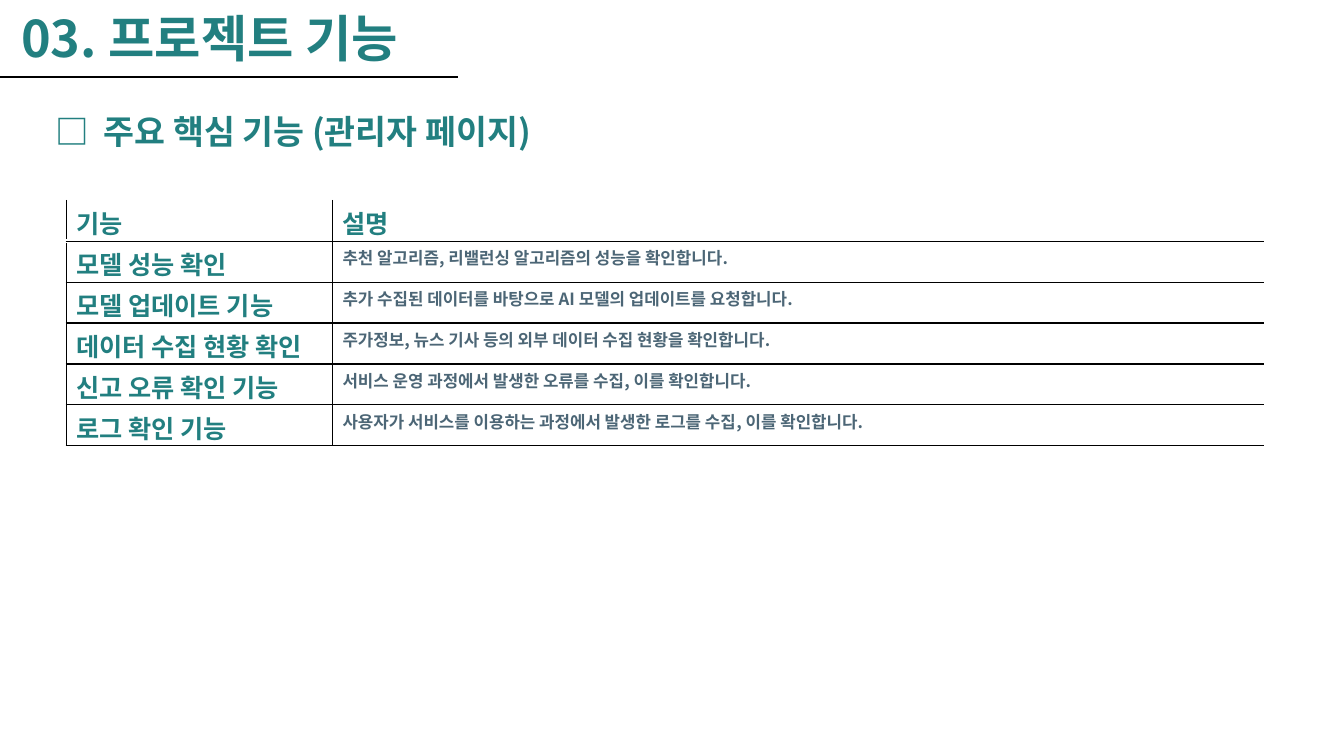
from dataclasses import dataclass

import pptx
import pptx.dml.color
import pptx.enum.text
import pptx.oxml
import pptx.oxml.ns
import pptx.util
from pptx.util import Cm

FONT = "Noto Sans CJK KR"
TEAL, SLATE, BLACK, WHITE = "227F80", "4C6676", "000000", "FFFFFF"
NS = pptx.oxml.ns.nsdecls("a")


@dataclass
class Feature:
    name: str
    description: str


@dataclass
class Borders:
    """Colours of the cell sides, and the width of the bottom one in points."""
    left: str
    top: str
    right: str
    bottom: str
    bottom_width: float = 1


HEADER = Feature("기능", "설명 ")
FEATURES = [
    Feature("모델 성능 확인", "추천 알고리즘, 리밸런싱 알고리즘의 성능을 확인합니다."),
    Feature("모델 업데이트 기능", "추가 수집된 데이터를 바탕으로 AI 모델의 업데이트를 요청합니다."),
    Feature("데이터 수집 현황 확인", "주가정보, 뉴스 기사 등의 외부 데이터 수집 현황을 확인합니다."),
    Feature("신고 오류 확인 기능", "서비스 운영 과정에서 발생한 오류를 수집, 이를 확인합니다."),
    Feature("로그 확인 기능", "사용자가 서비스를 이용하는 과정에서 발생한 로그를 수집, 이를 확인합니다."),
]


def rgb(value: str) -> pptx.dml.color.RGBColor:
    return pptx.dml.color.RGBColor.from_string(value)


def write(tf, text: str, size: float, color: str) -> None:
    p = tf.paragraphs[0]
    p.alignment = pptx.enum.text.PP_ALIGN.LEFT
    r = p.add_run()
    r.text = text
    r.font.size = pptx.util.Pt(size)
    r.font.bold = True
    r.font.color.rgb = rgb(color)
    r.font.name = FONT
    # Korean glyphs take the East Asian typeface
    latin = r.font._element.find(pptx.oxml.ns.qn("a:latin"))
    latin.addnext(pptx.oxml.parse_xml(f'<a:ea {NS} typeface="{FONT}"/>'))


def set_borders(cell, borders: Borders) -> None:
    sides = [("lnL", borders.left, 1), ("lnR", borders.right, 1),
             ("lnT", borders.top, 1), ("lnB", borders.bottom, borders.bottom_width)]
    tc_pr = cell._tc.get_or_add_tcPr()
    for i, (tag, color, width) in enumerate(sides):
        tc_pr.insert(i, pptx.oxml.parse_xml(
            f'<a:{tag} {NS} w="{int(pptx.util.Pt(width))}"><a:solidFill>'
            f'<a:srgbClr val="{color}"/></a:solidFill></a:{tag}>'))


def format_cell(cell, borders: Borders) -> None:
    cell.fill.background()
    cell.margin_top, cell.margin_bottom = Cm(0.1), Cm(0)
    set_borders(cell, borders)


def add_heading(s) -> None:
    title = s.shapes.title
    title.left, title.top, title.width, title.height = Cm(0.28), Cm(0.05), Cm(10.64), Cm(1.8)
    tf = title.text_frame
    tf.word_wrap = False
    tf.auto_size = pptx.enum.text.MSO_AUTO_SIZE.NONE
    tf.vertical_anchor = pptx.enum.text.MSO_ANCHOR.TOP
    write(tf, "03. 프로젝트 기능", 36, TEAL)

    rule = s.shapes.add_connector(
        pptx.enum.shapes.MSO_CONNECTOR.STRAIGHT, Cm(0), Cm(1.93), Cm(11.53), Cm(1.93))
    rule.line.color.rgb = rgb(BLACK)
    rule.line.width = pptx.util.Pt(1.5)
    rule._element.spPr.append(pptx.oxml.parse_xml(f"<a:effectLst {NS}/>"))


def add_subheading(s) -> None:
    tf = s.shapes.add_textbox(Cm(1.14), Cm(2.67), Cm(14.05), Cm(1.27)).text_frame
    tf.word_wrap = False
    write(tf, "□  주요 핵심 기능 (관리자 페이지)", 24, TEAL)


def add_feature_table(s) -> None:
    rows = [HEADER, *FEATURES]
    widths = [1.14, 6.71, 23.47]
    row_height = 1.03
    table = s.shapes.add_table(
        len(rows), len(widths), Cm(0.53), Cm(5.05),
        Cm(sum(widths)), Cm(row_height * len(rows))).table
    table.first_row = table.horz_banding = False
    for column, width in zip(table.columns, widths):
        column.width = Cm(width)

    for i, feature in enumerate(rows):
        is_header = i == 0
        table.rows[i].height = Cm(row_height)
        top = WHITE if is_header else BLACK
        margin, name, description = (table.cell(i, j) for j in range(len(widths)))
        format_cell(margin, Borders(WHITE, WHITE, BLACK, WHITE, 3 if is_header else 1))
        format_cell(name, Borders(BLACK, top, BLACK, BLACK))
        format_cell(description, Borders(BLACK, top, WHITE, BLACK))
        write(name.text_frame, feature.name, 18, TEAL)
        write(description.text_frame, feature.description,
              18 if is_header else 12, TEAL if is_header else SLATE)
    table.cell(1, 0).merge(table.cell(len(rows) - 1, 0))


def main() -> None:
    prs = pptx.Presentation()
    prs.slide_width, prs.slide_height = Cm(33.87), Cm(19.05)
    s = prs.slides.add_slide(prs.slide_layouts[5])
    add_heading(s)
    add_subheading(s)
    add_feature_table(s)
    prs.save("out.pptx")


if __name__ == "__main__":
    main()
